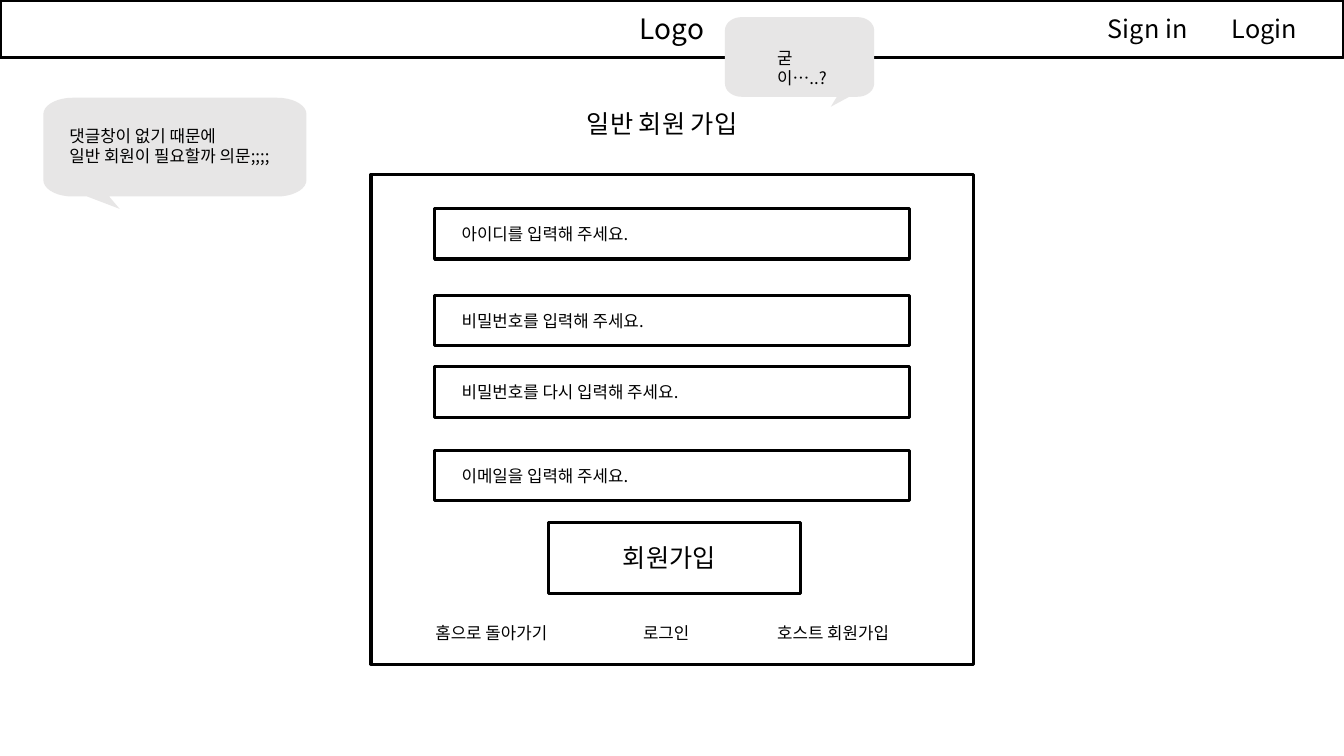
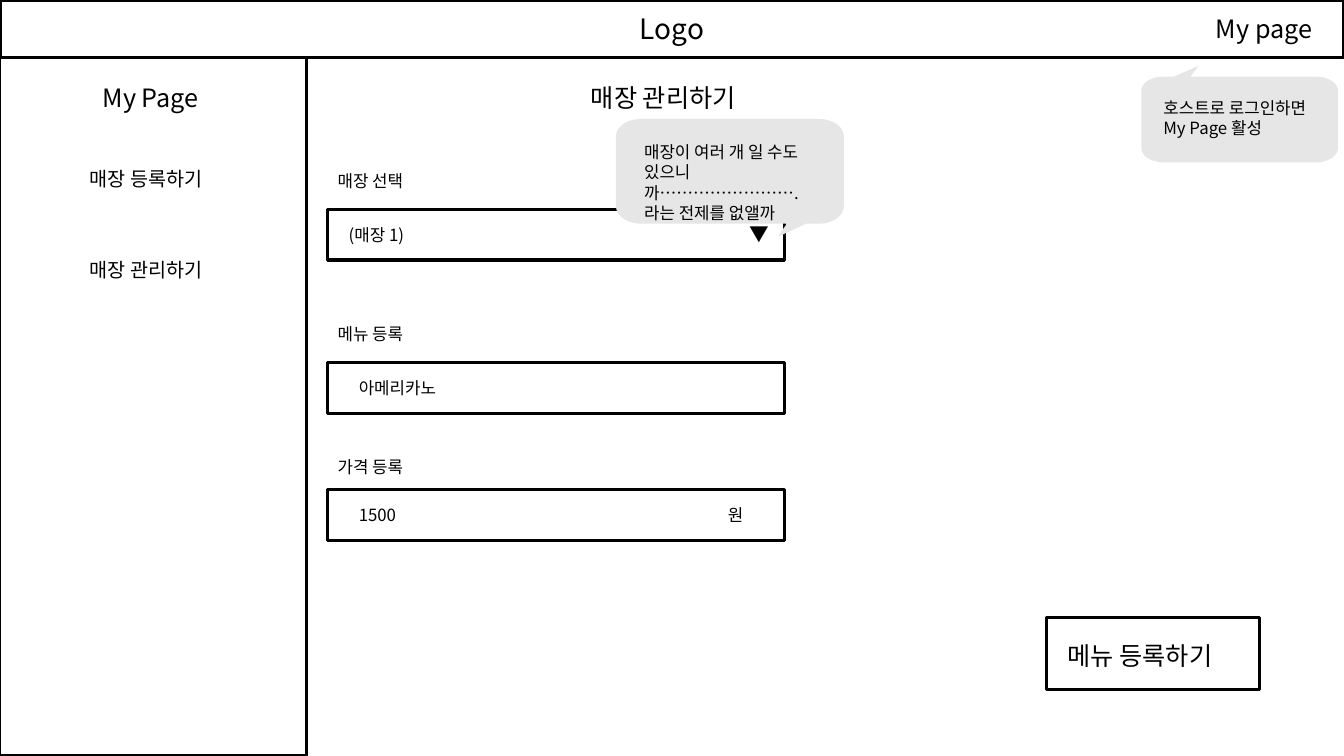
import math

import pptx
import pptx.dml.color
import pptx.enum.shapes
import pptx.enum.text
import pptx.oxml.ns
import pptx.util
from lxml import etree

PX = 9144
WIDE, HIGH = 1333, 750
FONT = "Noto Sans CJK KR"
BLACK = pptx.dml.color.RGBColor(0x00, 0x00, 0x00)
GREY = pptx.dml.color.RGBColor(0xE7, 0xE6, 0xE6)
ALIGN = pptx.enum.text.PP_ALIGN
ANCHOR = pptx.enum.text.MSO_ANCHOR
RECT = pptx.enum.shapes.MSO_SHAPE.RECTANGLE
SMALL, MENU, HEAD, LOGO = 12, 14, 18, 20
BAR = (0, 0, WIDE, 57)


def apply(item, values):
    """Set every named value on the item."""
    for name, value in values.items():
        setattr(item, name, value)


def emu(box):
    """Turn px lengths into EMU."""
    return [round(n * PX) for n in box]


def write(shape, text, size, align=ALIGN.LEFT, anchor=ANCHOR.TOP, gap=0):
    """Fill a shape with text in the shared style, one paragraph a line."""
    frame = shape.text_frame
    frame.text = text
    apply(frame, {
        "word_wrap": True,
        "auto_size": pptx.enum.text.MSO_AUTO_SIZE.NONE,
        "vertical_anchor": anchor,
    })
    for para in frame.paragraphs:
        apply(para, {
            "alignment": align,
            "line_spacing": pptx.util.Pt(size * 1.2),
            "space_before": pptx.util.Pt(0),
            "space_after": pptx.util.Pt(gap),
        })
        for run in para.runs:
            apply(run.font, {"name": FONT, "size": pptx.util.Pt(size)})
            run.font.color.rgb = BLACK
            props = run.font._element
            etree.SubElement(props, pptx.oxml.ns.qn("a:ea"), typeface=FONT)


def label(slide, box, text, size=SMALL):
    """Place a line of plain text."""
    write(slide.shapes.add_textbox(*emu(box)), text, size)


def place(shape, box):
    """Move a placeholder to a box."""
    apply(shape, dict(zip(("left", "top", "width", "height"), emu(box))))


def title(slide, box, text):
    """Set the title of the page."""
    place(slide.shapes.title, box)
    write(slide.shapes.title, text, HEAD)


def frame(slide, box):
    """Draw an empty outlined box."""
    shape = slide.shapes.add_shape(RECT, *emu(box))
    shape.shadow.inherit = False
    shape.fill.background()
    shape.line.color.rgb = BLACK
    shape.line.width = pptx.util.Pt(2.25)
    return shape


def field(slide, box, text, inset, drop, size=SMALL):
    """Draw an outlined box with text set in from its corner."""
    left, top, width, high = box
    frame(slide, box)
    label(slide, (left + inset, top + drop, width - inset, high - drop), text, size)


def header(slide, box, links):
    """Draw the top bar with its logo word and links."""
    left, top, _, high = box
    write(frame(slide, box), "Logo", LOGO, ALIGN.CENTER, ANCHOR.MIDDLE)
    for shift, text in links:
        label(slide, (left + shift, top + 8, 122, high - 17), text, HEAD)


def bubble(slide, box, note, text, right=False, above=False):
    """Draw a speech bubble, its tail on the side given, and its note."""
    left, top, width, high = box
    points = [(1 / 4, 1), (0.29, 1.125), (1 / 6, 1)]
    corners = ((1 / 9, 5 / 6, 90), (1 / 9, 1 / 6, 180),
               (8 / 9, 1 / 6, 270), (8 / 9, 5 / 6, 360))
    for mid, level, start in corners:
        for step in range(0, 91, 10):
            turn = math.radians(start + step)
            points.append((mid + math.cos(turn) / 9, level + math.sin(turn) / 6))
    spots = [emu((left + width * (1 - x if right else x),
                  top + high * (1 - y if above else y))) for x, y in points]
    path = slide.shapes.build_freeform(*spots[0])
    path.add_line_segments(spots[1:], close=True)
    shape = path.convert_to_shape()
    shape.shadow.inherit = False
    shape.fill.solid()
    shape.fill.fore_color.rgb = GREY
    shape.line.fill.background()
    across, down, span, tall = note
    label(slide, (left + across, top + down, span, tall), text)


def signup(slide, box):
    """Draw the panel for joining as a member."""
    left, top, _, _ = box
    frame(slide, box)
    for down, text in ((34, "아이디를 입력해 주세요."),
                       (120, "비밀번호를 입력해 주세요."),
                       (191, "비밀번호를 다시 입력해 주세요."),
                       (274, "이메일을 입력해 주세요.")):
        field(slide, (left + 63, top + down, 471, 50), text, 17, 10)
    field(slide, (left + 176, top + 345, 250, 71), "회원가입", 64, 15, HEAD)
    for across, text in ((54, "홈으로 돌아가기"), (260, "로그인"),
                         (393, "호스트 회원가입")):
        label(slide, (left + across, top + 440, 144, 30), text)


def sidebar(slide, box):
    """Draw the side menu with its heading and list."""
    left, top, _, _ = box
    frame(slide, box)
    label(slide, (left + 93, top + 20, 140, 40), "My Page", HEAD)
    menu = slide.placeholders[1]
    place(menu, (left + 80, top + 104, 145, 124))
    write(menu, "매장 등록하기\n매장 관리하기", MENU, gap=48)
    for para in menu.text_frame.paragraphs:
        props = para._p.get_or_add_pPr()
        props.set("marL", "0")
        props.set("indent", "0")
        etree.SubElement(props, pptx.oxml.ns.qn("a:buNone"))


def shop(slide, box):
    """Draw the form for a shop and its menu."""
    left, top, width, _ = box
    rows = ((0, 44, "매장 선택", "(매장 1)", 11),
            (152, 196, "메뉴 등록", "아메리카노", 21),
            (284, 322, "가격 등록", "1500", 21))
    for down, drop, name, text, inset in rows:
        label(slide, (left, top + down, 268, 30), name)
        field(slide, (left, top + drop, width, 50), text, inset, 10)
    label(slide, (left + 409, top + 51, 44, 34), "▼", MENU)
    label(slide, (left + 387, top + 332, 45, 31), "원")


def join(deck):
    """Build the page for joining."""
    slide = deck.slides.add_slide(deck.slide_layouts[5])
    header(slide, BAR, ((1089, "Sign in"), (1212, "Login")))
    title(slide, (572, 102, 190, 40), "일반 회원 가입")
    signup(slide, (368, 173, 598, 486))
    bubble(slide, (43, 97, 261, 98), (16, 23, 238, 50),
           "댓글창이 없기 때문에\n일반 회원이 필요할까 의문;;;;")
    bubble(slide, (719, 17, 148, 79), (42, 25, 81, 50), "굳이…..?", right=True)


def manage(deck):
    """Build the page for running a shop."""
    slide = deck.slides.add_slide(deck.slide_layouts[1])
    header(slide, BAR, ((1196, "My page"),))
    sidebar(slide, (-1, 57, 305, 693))
    title(slide, (576, 77, 181, 40), "매장 관리하기")
    shop(slide, (325, 164, 453, 372))
    field(slide, (1038, 613, 211, 71), "메뉴 등록하기", 11, 17, HEAD)
    bubble(slide, (1132, 76, 195, 85), (12, 16, 178, 50),
           "호스트로 로그인하면\nMy Page 활성", above=True)
    bubble(slide, (611, 118, 226, 104), (18, 18, 201, 91),
           "매장이 여러 개 일 수도\n있으니까…………………….\n라는 전제를 없앨까", right=True)


def main():
    """Build and save the deck."""
    deck = pptx.Presentation()
    apply(deck, {"slide_width": WIDE * PX, "slide_height": HIGH * PX})
    join(deck)
    manage(deck)
    deck.save("out.pptx")


if __name__ == "__main__":
    main()
